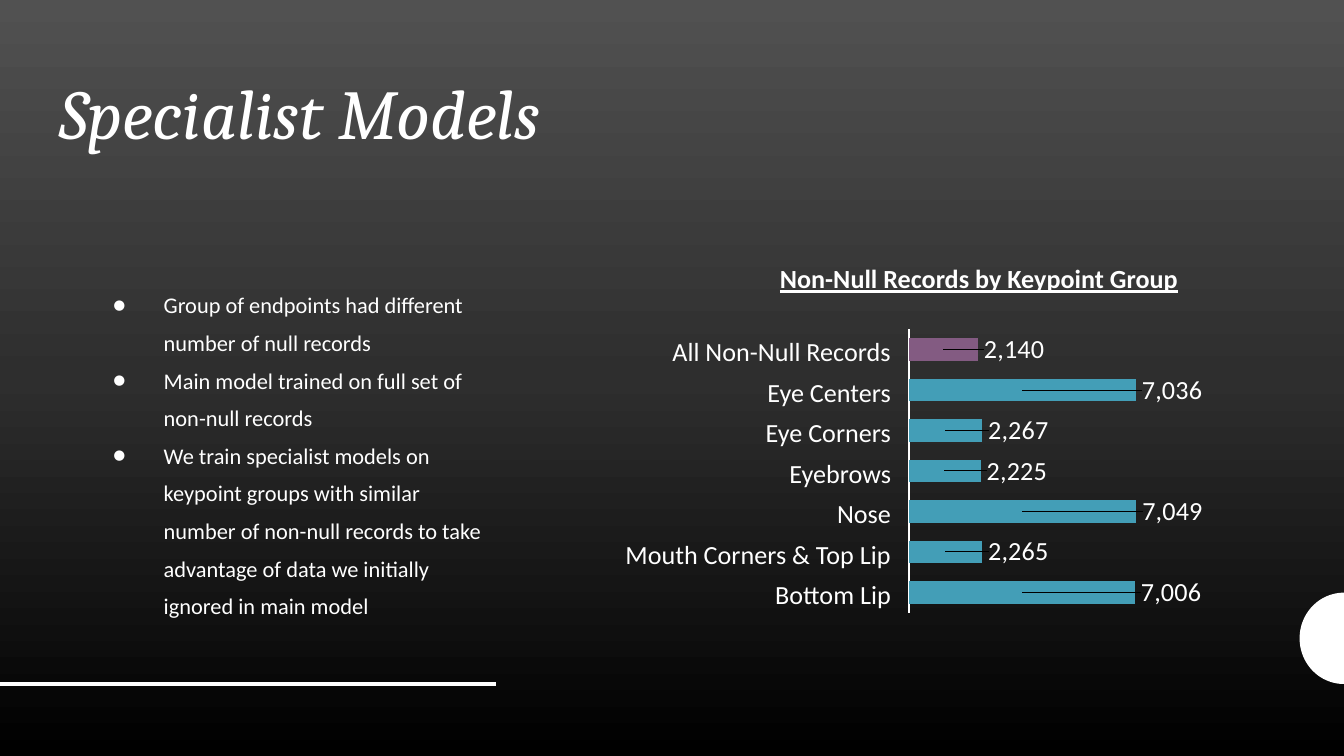
from copy import deepcopy
from dataclasses import dataclass
from math import cos, pi, sin

from lxml import etree
from pptx import Presentation
from pptx.chart.data import CategoryChartData
from pptx.dml.color import RGBColor
from pptx.enum.chart import XL_CHART_TYPE as ChartType
from pptx.enum.chart import XL_TICK_LABEL_POSITION as LabelPosition
from pptx.enum.chart import XL_TICK_MARK as TickMark
from pptx.enum.shapes import MSO_CONNECTOR as Connector
from pptx.enum.text import MSO_ANCHOR as Anchor
from pptx.enum.text import MSO_AUTO_SIZE as AutoSize
from pptx.enum.text import PP_ALIGN as Align
from pptx.oxml.ns import qn
from pptx.util import Inches, Pt


@dataclass(frozen=True)
class Theme:
    white: RGBColor = RGBColor.from_string("FFFFFF")
    bar: RGBColor = RGBColor.from_string("439EB7")
    highlight: RGBColor = RGBColor.from_string("835B82")
    background: tuple = ((0, "515151"), (0.5, "2E2E2E"), (1, "000000"))
    title_font: str = "Cambria"
    body_font: str = "Calibri"
    title_size: float = 37.5
    body_size: int = 12
    label_size: int = 14
    chart_size: int = 10


THEME = Theme()
BULLETS = (
    "Group of endpoints had different number of null records",
    "Main model trained on full set of non-null records",
    "We train specialist models on keypoint groups with similar number of "
    "non-null records to take advantage of data we initially ignored in main model",
)
KEYPOINT_GROUPS = (
    ("All Non-Null Records", 2140, 1.67),
    ("Eye Centers", 7036, 0.95),
    ("Eye Corners", 2267, 0.96),
    ("Eyebrows", 2225, 0.79),
    ("Nose", 7049, 0.41),
    ("Mouth Corners & Top Lip", 2265, 1.98),
    ("Bottom Lip", 7006, 0.91),
)


def style_font(font, size, name=THEME.body_font):
    font.size = Pt(size)
    font.name = name
    font.color.rgb = THEME.white


def add_run(paragraph, text, size, name=THEME.body_font):
    run = paragraph.add_run()
    run.text = text
    style_font(run.font, size, name)
    return run


def add_text_frame(slide, box, wrap=True):
    frame = slide.shapes.add_textbox(*map(Inches, box)).text_frame
    frame.word_wrap = wrap
    return frame


def set_layout(parent, index, **values):
    layout = etree.Element(qn("c:layout"))
    manual = etree.SubElement(layout, qn("c:manualLayout"))
    for tag, value in values.items():
        etree.SubElement(manual, qn(f"c:{tag}")).set("val", str(value))
    parent.insert(index, layout)


def paint_background(slide):
    fill = slide.background.fill
    fill.gradient()
    fill.gradient_angle = 270
    stop_list = slide.element.xpath("./p:cSld/p:bg//a:gsLst")[0]
    stop_list.insert(1, deepcopy(stop_list[0]))
    for stop, (position, color) in zip(fill.gradient_stops, THEME.background):
        stop.position = position
        stop.color.rgb = RGBColor.from_string(color)


def add_edge_circle(slide, box):
    left, top, width, height = box
    steps = 52
    points = [
        (
            Inches(left + width * (1 - sin(pi * step / steps))),
            Inches(top + height / 2 * (1 - cos(pi * step / steps))),
        )
        for step in range(steps + 1)
    ]
    builder = slide.shapes.build_freeform(*points[0])
    builder.add_line_segments(points[1:], close=True)
    circle = builder.convert_to_shape()
    circle.shadow.inherit = False
    circle.fill.solid()
    circle.fill.fore_color.rgb = THEME.white
    circle.line.fill.background()


def add_footer_line(slide, box):
    left, top, width, height = box
    line = slide.shapes.add_connector(
        Connector.STRAIGHT, *map(Inches, (left, top, left + width, top + height))
    )
    line.line.color.rgb = THEME.white
    line.line.width = Pt(2)
    etree.SubElement(line.element.spPr, qn("a:effectLst"))


def place_title(slide, box, text):
    title = slide.shapes.title
    title.left, title.top, title.width, title.height = map(Inches, box)
    frame = title.text_frame
    frame.auto_size = AutoSize.NONE
    frame.vertical_anchor = Anchor.TOP
    frame.margin_left = frame.margin_right = Inches(0.1)
    frame.margin_top = frame.margin_bottom = Inches(0.1)
    paragraph = frame.paragraphs[0]
    paragraph.alignment = Align.LEFT
    paragraph.line_spacing = 0.9
    add_run(paragraph, text, THEME.title_size, THEME.title_font).font.italic = True


def add_bullets(slide, box):
    frame = add_text_frame(slide, box)
    for index, text in enumerate(BULLETS):
        paragraph = frame.add_paragraph() if index else frame.paragraphs[0]
        paragraph.line_spacing = 1.4
        properties = paragraph._p.get_or_add_pPr()
        properties.set("marL", str(Inches(0.5)))
        properties.set("indent", str(Inches(-0.38)))
        size = str(THEME.body_size * 100)
        etree.SubElement(properties, qn("a:buSzPts")).set("val", size)
        etree.SubElement(properties, qn("a:buFont")).set("typeface", THEME.body_font)
        etree.SubElement(properties, qn("a:buChar")).set("char", "●")
        add_run(paragraph, text, THEME.body_size)


def add_chart_heading(slide, box, text):
    paragraph = add_text_frame(slide, box).paragraphs[0]
    paragraph.alignment = Align.CENTER
    paragraph.line_spacing = 2.0
    paragraph._p.get_or_add_pPr().set("marL", str(Inches(0.12)))
    font = add_run(paragraph, text, THEME.label_size).font
    font.bold = font.underline = True


def add_group_labels(slide, right, top, bottom):
    pitch = (bottom - top) / (len(KEYPOINT_GROUPS) - 1)
    for row, (name, _, width) in enumerate(KEYPOINT_GROUPS):
        box = (right - width, top + row * pitch, width, 0.26)
        frame = add_text_frame(slide, box, wrap=False)
        frame.vertical_anchor = Anchor.MIDDLE
        frame.margin_left = frame.margin_right = 0
        frame.margin_top = frame.margin_bottom = 0
        paragraph = frame.paragraphs[0]
        paragraph.alignment = Align.RIGHT
        paragraph.line_spacing = 1.12
        add_run(paragraph, name, THEME.label_size)


def add_records_chart(slide, box):
    values = [value for _, value, _ in KEYPOINT_GROUPS]
    data = CategoryChartData(number_format="#,##0")
    data.categories = [str(number) for number in range(1, len(values) + 1)]
    data.add_series("Series 1", values)
    chart = slide.shapes.add_chart(
        ChartType.BAR_STACKED, *map(Inches, box), data
    ).chart
    chart.has_legend = chart.has_title = False
    style_font(chart.font, THEME.chart_size)

    category_axis, value_axis = chart.category_axis, chart.value_axis
    category_axis.reverse_order = True
    category_axis.tick_label_position = LabelPosition.NONE
    category_axis.major_tick_mark = category_axis.minor_tick_mark = TickMark.NONE
    category_axis.format.line.color.rgb = THEME.white
    category_axis.format.line.width = Pt(0.75)
    value_axis.visible = value_axis.has_major_gridlines = False
    value_axis.minimum_scale, value_axis.maximum_scale = 0, max(values)

    plot_width = 0.56
    plot_area = chart.element.xpath(".//c:plotArea")[0]
    for layout in plot_area.findall(qn("c:layout")):
        plot_area.remove(layout)
    set_layout(plot_area, 0, layoutTarget="inner", xMode="edge", yMode="edge",
               x=0.22, y=0.04, w=plot_width, h=0.92)

    plot = chart.plots[0]
    plot.gap_width, plot.overlap, plot.vary_by_categories = 80, 100, False
    series = plot.series[0]
    series.format.fill.solid()
    series.format.fill.fore_color.rgb = THEME.bar
    first_fill = series.points[0].format.fill
    first_fill.solid()
    first_fill.fore_color.rgb = THEME.highlight
    for index in range(len(values)):
        style_font(series.points[index].data_label.font, THEME.label_size)
    for label, value in zip(chart.element.xpath(".//c:dLbl"), values):
        half_bar = plot_width * value / max(values) / 2
        set_layout(label, 1, x=round(half_bar + 0.27 / box[2], 4), y=0)


def build_slide(presentation):
    slide = presentation.slides.add_slide(presentation.slide_layouts[5])
    paint_background(slide)
    add_edge_circle(slide, (9.67, 4.41, 0.33, 0.68))
    add_footer_line(slide, (0, 5.09, 3.69, 0))
    place_title(slide, (0.34, 0.49, 9.32, 0.63), "Specialist Models")
    add_records_chart(slide, (6.1, 2.36, 3.02, 2.29))
    add_group_labels(slide, right=6.63, top=2.47, bottom=4.28)
    add_bullets(slide, (0.62, 2.04, 3.14, 2.73))
    add_chart_heading(slide, (5.36, 1.67, 3.73, 0.65), "Non-Null Records by Keypoint Group")


def main():
    presentation = Presentation()
    presentation.slide_width = Inches(10)
    presentation.slide_height = Inches(10 * 9 / 16)
    build_slide(presentation)
    presentation.save("out.pptx")


if __name__ == "__main__":
    main()
